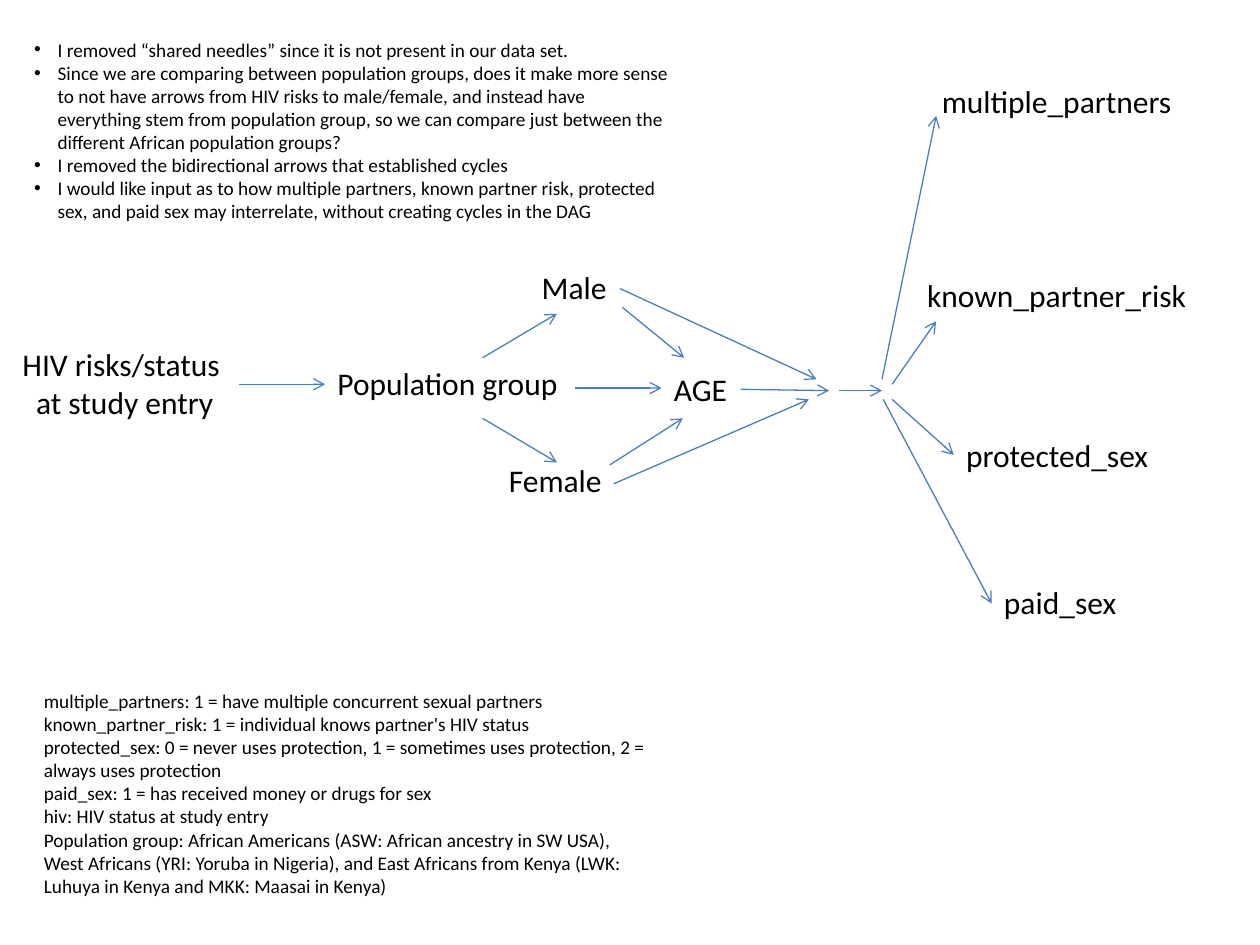
"""Build a slide with a causal diagram of HIV risk factors, questions and variable notes."""
import pptx
import pptx.dml.color
import pptx.enum.shapes
import pptx.enum.text
import pptx.oxml.ns
import pptx.util
from lxml import etree

Inches = pptx.util.Inches
BLACK = pptx.dml.color.RGBColor(0x00, 0x00, 0x00)
BLUE = pptx.dml.color.RGBColor(0x4B, 0x7E, 0xBC)
FONT = "Calibri"
NODE_SIZE = 18
NOTE_SIZE = 11
INDENT = pptx.util.Pt(13.5)
LEFT = pptx.enum.text.PP_ALIGN.LEFT
CENTER = pptx.enum.text.PP_ALIGN.CENTER

QUESTIONS_BOX = (0.17, 0.25, 5.25, 1.58)
QUESTIONS = [
    "I removed “shared needles” since it is not present in our data set.",
    "Since we are comparing between population groups, does it make more sense to not have "
    "arrows from HIV risks to male/female, and instead have everything stem from population "
    "group, so we can compare just between the different African population groups?",
    "I removed the bidirectional arrows that established cycles",
    "I would like input as to how multiple partners, known partner risk, protected sex, and "
    "paid sex may interrelate, without creating cycles in the DAG",
]

DEFINITIONS_BOX = (0.25, 5.42, 5, 1.77)
DEFINITIONS = [
    "multiple_partners: 1 = have multiple concurrent sexual partners",
    "known_partner_risk: 1 = individual knows partner's HIV status",
    "protected_sex: 0 = never uses protection, 1 = sometimes uses protection, 2 = always uses "
    "protection",
    "paid_sex: 1 = has received money or drugs for sex",
    "hiv: HIV status at study entry",
    "Population group: African Americans (ASW: African ancestry in SW USA), West Africans "
    "(YRI: Yoruba in Nigeria), and East Africans from Kenya (LWK: Luhuya in Kenya and MKK: "
    "Maasai in Kenya)",
]

NODES = [
    (["HIV risks/status ", "at study entry"], (0.07, 2.69, 1.84, 0.71), CENTER),
    (["Population group"], (2.58, 2.84, 1.97, 0.4), LEFT),
    (["Male"], (4.2, 2.08, 0.72, 0.4), LEFT),
    (["Female"], (3.94, 3.61, 1.25, 0.4), LEFT),
    (["AGE"], (5.25, 2.89, 0.63, 0.4), LEFT),
    (["multiple_partners "], (7.33, 0.6, 2.17, 0.4), CENTER),
    (["known_partner_risk"], (7.26, 2.14, 2.28, 0.4), LEFT),
    (["protected_sex"], (7.57, 3.41, 1.66, 0.4), LEFT),
    (["paid_sex"], (7.87, 4.58, 1.1, 0.4), LEFT),
]

STATUS_ARROWS = [(1.9, 3.05, 2.58, 3.05)]
GROUP_ARROWS = [
    (3.83, 2.84, 4.42, 2.49),
    (4.56, 3.08, 5.25, 3.08),
    (3.83, 3.32, 4.42, 3.67),
]
AGE_ARROWS = [
    (4.94, 2.44, 5.43, 2.84),
    (4.84, 3.69, 5.42, 3.32),
]
JUNCTION_ARROWS = [
    (4.92, 2.29, 6.48, 3.01),
    (5.88, 3.09, 6.58, 3.1),
    (4.87, 3.84, 6.42, 3.17),
    (6.66, 3.1, 7, 3.1),
]
BEHAVIOUR_ARROWS = [
    (7, 3.01, 7.43, 0.92),
    (7.08, 3.05, 7.43, 2.55),
    (7.08, 3.17, 7.57, 3.61),
    (7.01, 3.17, 7.87, 4.79),
]
ARROWS = STATUS_ARROWS + GROUP_ARROWS + AGE_ARROWS + JUNCTION_ARROWS + BEHAVIOUR_ARROWS


def write_paragraphs(shape, lines, size, alignment=LEFT, wrap=True):
    frame = shape.text_frame
    frame.text = "\n".join(lines)
    frame.word_wrap = wrap
    frame.auto_size = pptx.enum.text.MSO_AUTO_SIZE.NONE
    for paragraph in frame.paragraphs:
        paragraph.alignment = alignment
        paragraph.space_before = pptx.util.Pt(0)
        paragraph.font.name = FONT
        paragraph.font.size = pptx.util.Pt(size)
        paragraph.font.color.rgb = BLACK


def add_text(slide, box, lines, size, alignment=LEFT, wrap=True):
    shape = slide.shapes.add_textbox(*map(Inches, box))
    write_paragraphs(shape, lines, size, alignment, wrap)


def add_questions(slide):
    body = slide.placeholders[1]
    body.left, body.top, body.width, body.height = map(Inches, QUESTIONS_BOX)
    write_paragraphs(body, QUESTIONS, NOTE_SIZE)
    for paragraph in body.text_frame.paragraphs:
        properties = paragraph._p.get_or_add_pPr()
        properties.set("marL", str(INDENT))
        properties.set("indent", str(-INDENT))


def add_arrow(slide, ends):
    connector = slide.shapes.add_connector(
        pptx.enum.shapes.MSO_CONNECTOR.STRAIGHT, *map(Inches, ends))
    connector.line.color.rgb = BLUE
    connector.line.width = pptx.util.Pt(0.75)
    qn = pptx.oxml.ns.qn
    etree.SubElement(connector.line._get_or_add_ln(), qn("a:tailEnd"), type="arrow")
    etree.SubElement(connector._element.spPr, qn("a:effectLst"))


def main():
    presentation = pptx.Presentation()
    presentation.slide_width, presentation.slide_height = Inches(10), Inches(7.5)
    slide = presentation.slides.add_slide(presentation.slide_layouts[1])
    title = slide.shapes.title._element
    title.getparent().remove(title)
    add_questions(slide)
    for lines, box, alignment in NODES:
        add_text(slide, box, lines, NODE_SIZE, alignment, wrap=False)
    for ends in ARROWS:
        add_arrow(slide, ends)
    add_text(slide, DEFINITIONS_BOX, DEFINITIONS, NOTE_SIZE)
    presentation.save("out.pptx")


if __name__ == "__main__":
    main()
